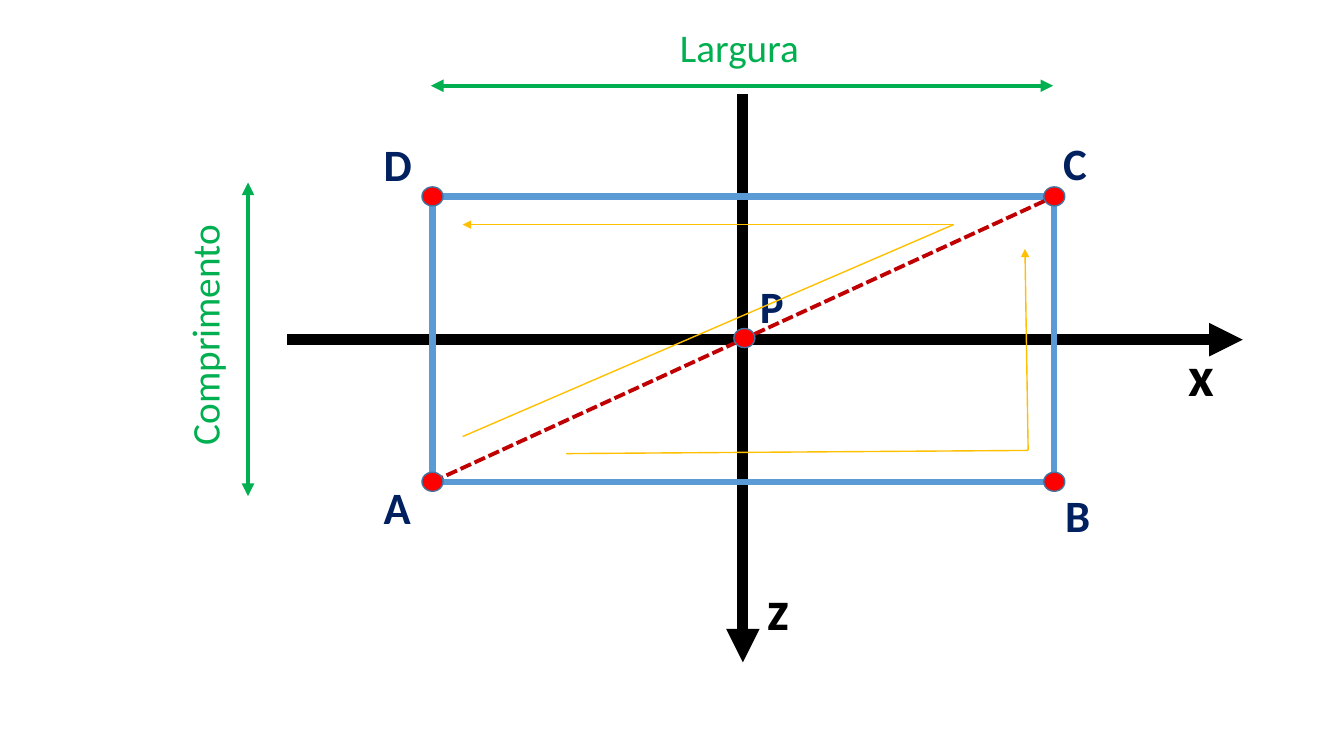
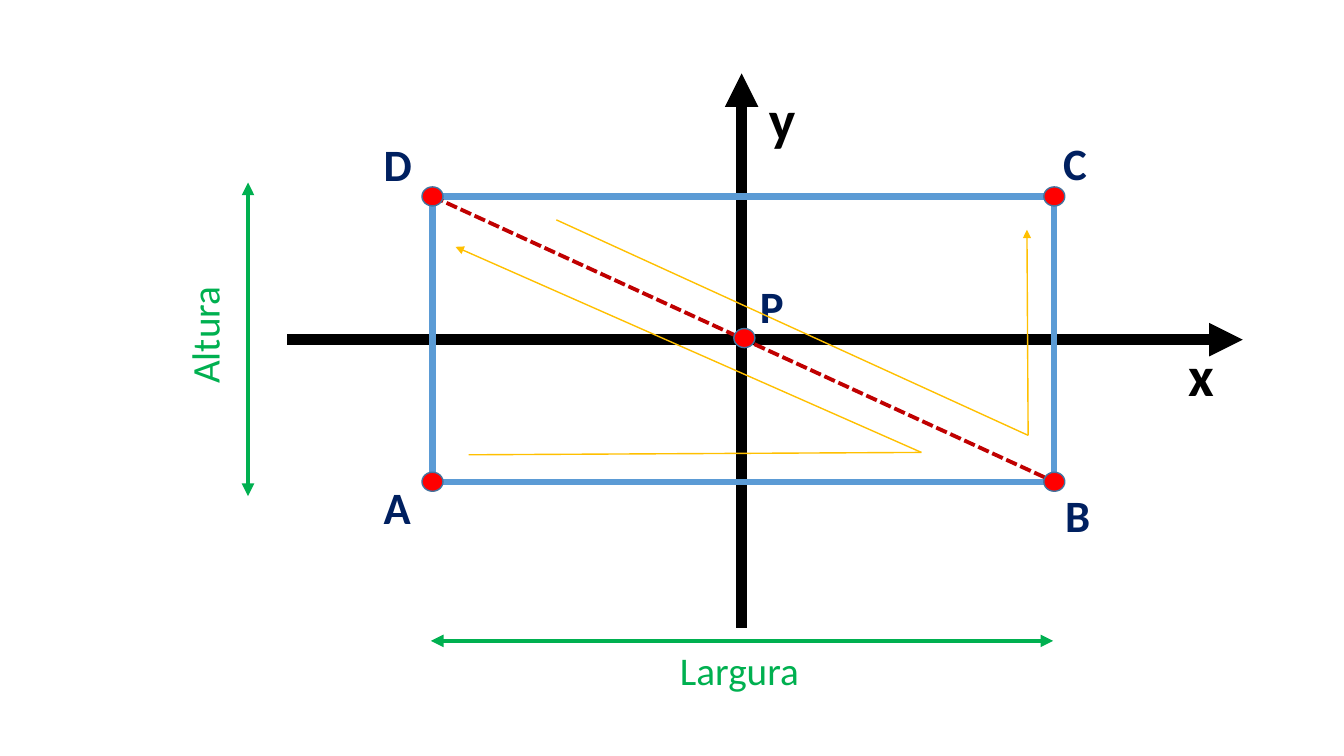
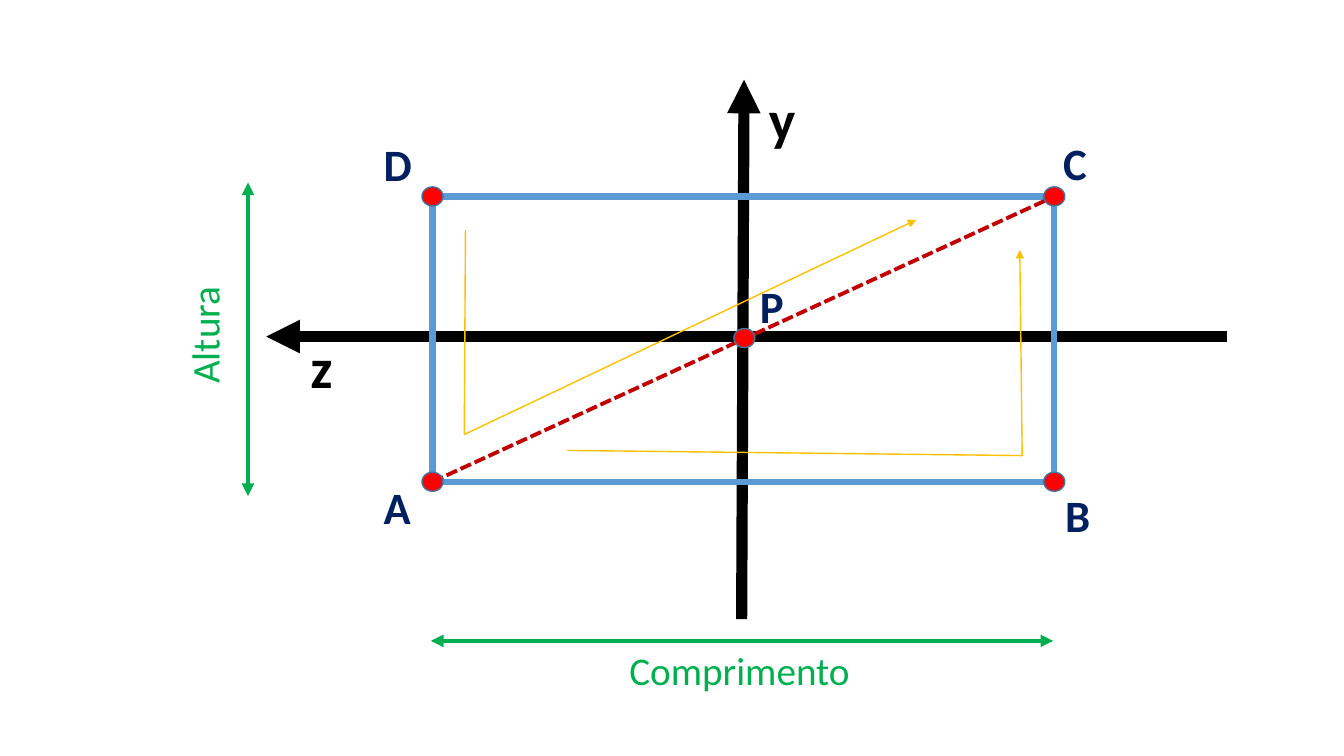
"""Three views of a box face: axes, corners, dimensions and triangle order."""
import lxml.etree
import pptx
import pptx.dml.color
import pptx.enum.dml
import pptx.enum.shapes
import pptx.enum.text
import pptx.oxml.ns
import pptx.util

Cm = pptx.util.Cm
qn = pptx.oxml.ns.qn

BLACK, NAVY, GREEN, RED = "000000", "002060", "00B050", "FF0000"
LEFT, TOP, RIGHT, BOTTOM = 10.9, 4.95, 26.57, 12.14
CENTER = (18.76, 8.52)
CORNERS = {"A": (LEFT, BOTTOM), "B": (RIGHT, BOTTOM),
           "C": (RIGHT, TOP), "D": (LEFT, TOP)}
DOT_W, DOT_H = 0.53, 0.48
LABEL_SIZE = (7.2, 1.63)
LABELS = {"D": (9.42, 3.33), "A": (9.42, 11.96), "B": (26.59, 12.17),
          "C": (26.54, 3.3), "P": (18.9, 6.91)}
AXIS_LABEL_SIZE = (1.5, 1.96)

FONTS = {
    "corner": {"size": pptx.util.Pt(32), "bold": True},
    "axis": {"size": pptx.util.Pt(40), "bold": True},
    "dimension": {"size": pptx.util.Pt(28)},
}

# Axis: name, label position, start, end. Path: points, arrowhead at the end.
X_AXIS = ("x", (29.69, 8.46), (7.24, 8.56), (31.32, 8.56))
VIEWS = [
    {"axes": [("z", (19.08, 14.35), (18.72, 2.36), (18.72, 16.69)), X_AXIS],
     "diagonal": "AC", "across": "Largura", "down": "Comprimento",
     "across_line": 2.16, "across_text": 0.46,
     "paths": [[(11.66, 11), (24.03, 5.66), (11.66, 5.66)],
               [(14.27, 11.43), (25.91, 11.35), (25.83, 6.27)]]},
    {"axes": [X_AXIS, ("y", (19.13, 2.01), (18.69, 15.82), (18.69, 1.85))],
     "diagonal": "DB", "across": "Largura", "down": "Altura",
     "across_line": 16.15, "across_text": 16.15,
     "paths": [[(14.02, 5.54), (25.91, 10.97), (25.88, 5.79)],
               [(11.81, 11.46), (23.22, 11.4), (11.48, 6.22)]]},
    {"axes": [("y", (19.13, 2.01), (18.69, 15.6), (18.75, 2.01)),
              ("z", (7.57, 8.26), (30.91, 8.48), (6.71, 8.48))],
     "diagonal": "AC", "across": "Comprimento", "down": "Altura",
     "across_line": 16.15, "across_text": 16.15,
     "paths": [[(11.73, 5.79), (11.7, 10.95), (23.09, 5.54)],
               [(14.3, 11.35), (25.76, 11.48), (25.7, 6.3)]]},
]


def rgb(color):
    """Turn a hex string into a colour."""
    return pptx.dml.color.RGBColor.from_string(color)


def set_line(sp, color, width):
    """Set the colour and the width in points of an outline or line."""
    sp.line.color.rgb = rgb(color)
    sp.line.width = pptx.util.Pt(width)


def add_line(slide, start, end, color, width, arrows=(), dash=None):
    """Draw a straight line; arrows holds headEnd and/or tailEnd."""
    sp = slide.shapes.add_connector(
        pptx.enum.shapes.MSO_CONNECTOR.STRAIGHT, *map(Cm, start + end))
    set_line(sp, color, width)
    if dash:
        sp.line.dash_style = dash
    props = sp._element.spPr
    ln = props.find(qn("a:ln"))
    for tag in arrows:
        lxml.etree.SubElement(ln, qn("a:" + tag), type="triangle")
    lxml.etree.SubElement(props, qn("a:effectLst"))


def add_shape(slide, kind, box, line, width, fill=None):
    """Draw a preset shape, unfilled unless a fill is given."""
    sp = slide.shapes.add_shape(kind, *map(Cm, box))
    sp.shadow.inherit = False
    set_line(sp, line, width)
    if fill:
        sp.fill.solid()
        sp.fill.fore_color.rgb = rgb(fill)
    else:
        sp.fill.background()


def add_text(slide, text, box, style, color, centered=False, rotation=0):
    """Add a one-line text box in one of the shared font styles."""
    sp = slide.shapes.add_textbox(*map(Cm, box))
    sp.rotation = rotation
    tf = sp.text_frame
    tf.word_wrap = True
    tf.auto_size = pptx.enum.text.MSO_AUTO_SIZE.SHAPE_TO_FIT_TEXT
    p = tf.paragraphs[0]
    if centered:
        p.alignment = pptx.enum.text.PP_ALIGN.CENTER
    r = p.add_run()
    r.text = text
    for name, value in {"name": "Calibri", **FONTS[style]}.items():
        setattr(r.font, name, value)
    r.font.color.rgb = rgb(color)


def add_dimensions(slide, view):
    """Add the two green measuring arrows with their names."""
    both = ("headEnd", "tailEnd")
    y = view["across_line"]
    add_line(slide, (10.86, y), (26.54, y), GREEN, 3, both)
    add_line(slide, (6.25, 4.6), (6.25, 12.5), GREEN, 3, both)
    add_text(slide, view["across"], (10.8, view["across_text"], 15.67, 1.45),
             "dimension", GREEN, centered=True)
    add_text(slide, view["down"], (1.63, 7.72, 7.04, 1.45),
             "dimension", GREEN, centered=True, rotation=270)


def add_path(slide, points):
    """Draw a thin path through the points, ending in an arrowhead."""
    for i, (start, end) in enumerate(zip(points, points[1:]), 2):
        arrows = ("tailEnd",) if i == len(points) else ()
        add_line(slide, start, end, "FFC000", 1, arrows)


def add_view(prs, view):
    """Add one slide with one view of the face."""
    slide = prs.slides.add_slide(prs.slide_layouts[6])
    shapes = pptx.enum.shapes.MSO_SHAPE
    for _, _, start, end in view["axes"]:
        add_line(slide, start, end, BLACK, 8, ("tailEnd",))
    add_shape(slide, shapes.RECTANGLE,
              (LEFT, TOP, RIGHT - LEFT, BOTTOM - TOP), "5B9BD5", 4.5)
    for name, position, _, _ in view["axes"]:
        add_text(slide, name, position + AXIS_LABEL_SIZE, "axis", BLACK)
    start, end = (CORNERS[name] for name in view["diagonal"])
    add_line(slide, start, end, "C00000", 2.75,
             dash=pptx.enum.dml.MSO_LINE.SQUARE_DOT)
    add_dimensions(slide, view)
    for name, position in LABELS.items():
        add_text(slide, name, position + LABEL_SIZE, "corner", NAVY)
    for x, y in [CENTER, *CORNERS.values()]:
        add_shape(slide, shapes.OVAL,
                  (x - DOT_W / 2, y - DOT_H / 2, DOT_W, DOT_H),
                  "43739E", 1, RED)
    for points in view["paths"]:
        add_path(slide, points)


def main():
    """Build the presentation."""
    prs = pptx.Presentation()
    prs.slide_width, prs.slide_height = Cm(33.87), Cm(19.05)
    for view in VIEWS:
        add_view(prs, view)
    prs.save("out.pptx")


main()
